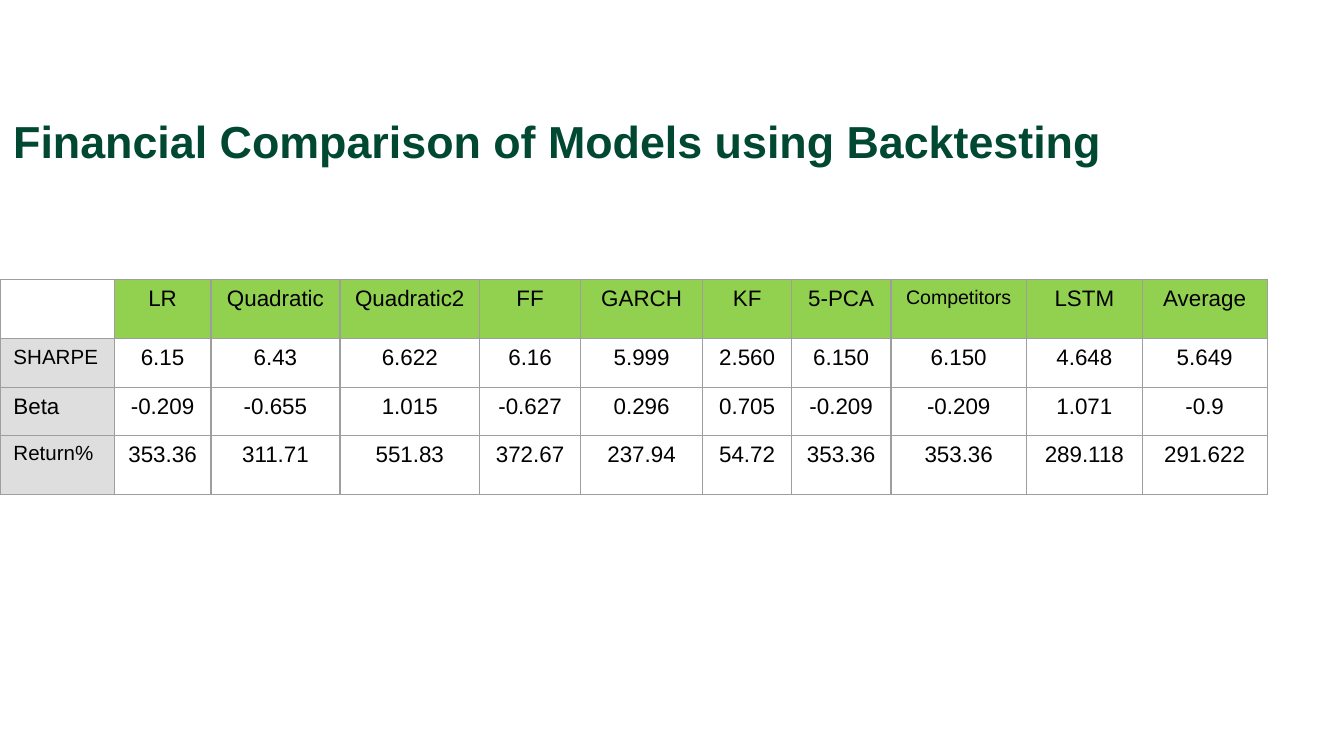
from dataclasses import dataclass
from typing import Optional

from lxml.etree import SubElement
from pptx import Presentation
from pptx.dml.color import RGBColor
from pptx.enum.text import MSO_ANCHOR, PP_ALIGN
from pptx.oxml.ns import qn
from pptx.util import Inches, Pt


@dataclass(frozen=True)
class Theme:
    font: str = "Arial"
    title: str = "004832"
    ink: str = "000000"
    head: str = "92D050"
    side: str = "DEDEDE"
    rule: str = "9E9E9E"
    large: float = 24
    body: float = 12
    label: float = 11
    small: float = 10.5
    line: float = 0.75


@dataclass(frozen=True)
class Model:
    name: str
    width: float  # column width in inches
    values: tuple[str, str, str]
    size: float = Theme.body


@dataclass(frozen=True)
class Measure:
    name: str
    height: float  # row height in inches
    size: float


THEME = Theme()
WIDE = 10
HIGH = WIDE * 9 / 16
SIDE, HEAD = 0.85, 0.44  # label column width, header row height

MODELS = [
    Model("LR", 0.72, ("6.15", "-0.209", "353.36")),
    Model("Quadratic", 0.96, ("6.43", "-0.655", "311.71")),
    Model("Quadratic2", 1.04, ("6.622", "1.015", "551.83")),
    Model("FF", 0.75, ("6.16", "-0.627", "372.67")),
    Model("GARCH", 0.91, ("5.999", "0.296", "237.94")),
    Model("KF", 0.66, ("2.560", "0.705", "54.72")),
    Model("5-PCA", 0.74, ("6.150", "-0.209", "353.36")),
    Model("Competitors", 1.01, ("6.150", "-0.209", "353.36"), THEME.small),
    Model("LSTM", 0.86, ("4.648", "1.071", "289.118")),
    Model("Average", 0.93, ("5.649", "-0.9", "291.622")),
]
MEASURES = [
    Measure("SHARPE", 0.36, THEME.label),
    Measure("Beta", 0.36, THEME.body),
    Measure("Return%", 0.44, THEME.label),
]


def write(frame, text: str, *, size: float = THEME.body, color: str = THEME.ink,
          bold: bool = False, align=PP_ALIGN.LEFT,
          spacing: Optional[float] = None, after: float = 0) -> None:
    """Put one formatted paragraph into a text frame."""
    para = frame.paragraphs[0]
    para.alignment = align
    para.space_after = Pt(after)
    if spacing:
        para.line_spacing = spacing
    run = para.add_run()
    run.text = text
    run.font.name = THEME.font
    run.font.size = Pt(size)
    run.font.bold = bold
    run.font.color.rgb = RGBColor.from_string(color)


def border(cell) -> None:
    """Rule all four sides; lines must come before the fill in tcPr."""
    props = cell._tc.get_or_add_tcPr()
    for tag in ("a:lnL", "a:lnR", "a:lnT", "a:lnB"):
        line = SubElement(props, qn(tag), w=str(Pt(THEME.line)))
        fill = SubElement(line, qn("a:solidFill"))
        SubElement(fill, qn("a:srgbClr"), val=THEME.rule)


def style(cell, fill: Optional[str] = None) -> None:
    border(cell)
    if fill:
        cell.fill.solid()
        cell.fill.fore_color.rgb = RGBColor.from_string(fill)
    else:
        cell.fill.background()


def add_title(slide, text: str) -> None:
    box = slide.shapes.add_textbox(0, Inches(0.122 * HIGH),
                                   Inches(0.932 * WIDE), Inches(0.112 * HIGH))
    frame = box.text_frame
    frame.word_wrap = True
    frame.vertical_anchor = MSO_ANCHOR.TOP
    frame.margin_left = frame.margin_right = Inches(0.1)
    frame.margin_top = frame.margin_bottom = Inches(0.1)
    write(frame, text, size=THEME.large, color=THEME.title, bold=True,
          spacing=1.15, after=16)


def add_scores(slide, models: list[Model], measures: list[Measure]) -> None:
    widths = [SIDE] + [model.width for model in models]
    heights = [HEAD] + [measure.height for measure in measures]
    table = slide.shapes.add_table(
        len(heights), len(widths), 0, Inches(0.37 * HIGH),
        Inches(sum(widths)), Inches(sum(heights))).table
    table.first_row = table.horz_banding = False
    for col, width in zip(table.columns, widths):
        col.width = Inches(width)
    for row, height in zip(table.rows, heights):
        row.height = Inches(height)

    # Corner and row labels
    style(table.cell(0, 0))
    for r, measure in enumerate(measures, 1):
        cell = table.cell(r, 0)
        style(cell, THEME.side)
        write(cell.text_frame, measure.name, size=measure.size)

    # One column per model
    for c, model in enumerate(models, 1):
        cell = table.cell(0, c)
        style(cell, THEME.head)
        write(cell.text_frame, model.name, size=model.size,
              align=PP_ALIGN.CENTER)
        for r, value in enumerate(model.values, 1):
            cell = table.cell(r, c)
            style(cell)
            write(cell.text_frame, value, align=PP_ALIGN.CENTER)


def main() -> None:
    deck = Presentation()
    deck.slide_width, deck.slide_height = Inches(WIDE), Inches(HIGH)
    slide = deck.slides.add_slide(deck.slide_layouts[6])
    add_title(slide, "Financial Comparison of Models using Backtesting")
    add_scores(slide, MODELS, MEASURES)
    deck.save("out.pptx")


if __name__ == "__main__":
    main()
